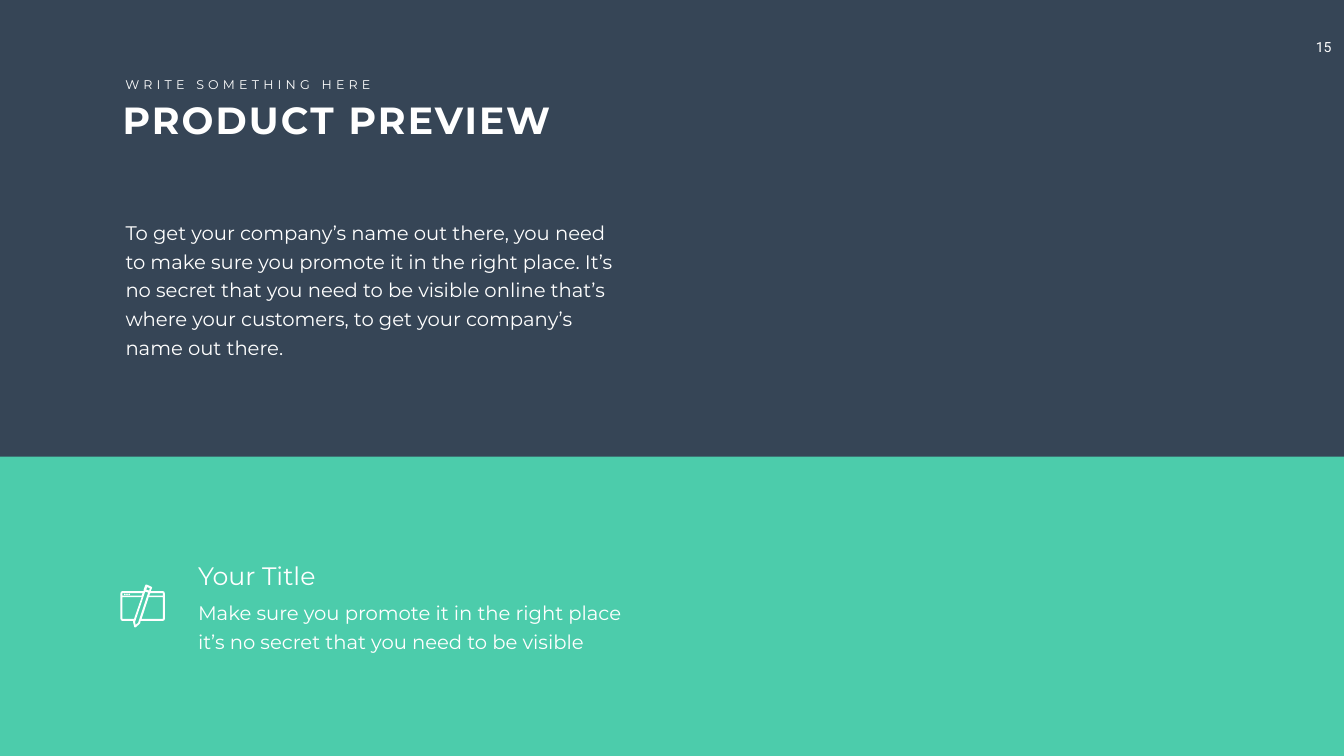
"""Build the product preview slide."""
from dataclasses import dataclass

from lxml import etree
from pptx import Presentation
from pptx.dml.color import RGBColor
from pptx.enum.shapes import MSO_SHAPE
from pptx.enum.text import MSO_ANCHOR, MSO_AUTO_SIZE, PP_ALIGN
from pptx.oxml.ns import qn
from pptx.util import Cm, Pt

RECT, OVAL = MSO_SHAPE.RECTANGLE, MSO_SHAPE.OVAL
TOP, NO_FIT = MSO_ANCHOR.TOP, MSO_AUTO_SIZE.NONE
LEFT, CENTER = PP_ALIGN.LEFT, PP_ALIGN.CENTER
NAVY, GREEN, WHITE = "364556", "4CCCAB", "FFFFFF"
LEADING = 40.8
WIDTH, HEIGHT = 67.72, 38.1
ICON_X, ICON_Y, ICON_UNIT = 6.07, 29.46, 0.0254

ICON_CONTOURS = [
    [(84, 68), (42, 68), (56, 25), (84, 25)],
    [(30, 80), (29, 74), (49, 14), (55, 16), (35, 76)],
    [(4, 68), (4, 25), (42, 25), (27, 68)],
    [(4, 17), (44, 17), (42, 22), (4, 22)],
    [(53, 5), (58, 7), (57, 12), (51, 10)],
    [(84, 22), (57, 22), (59, 17), (84, 17)],
    [(84, 13), (60, 13), (63, 6), (61, 4), (52, 0), (50, 0), (49, 2),
     (46, 10), (46, 13), (4, 13), (1, 14), (0, 18), (0, 68), (1, 71),
     (4, 72), (25, 72), (25, 74), (27, 83), (28, 85), (30, 85), (38, 78),
     (39, 77), (40, 72), (84, 72), (87, 71), (88, 68), (88, 18), (87, 14)],
]


@dataclass
class Box:
    """Place of an object in centimetres."""
    x: float
    y: float
    w: float
    h: float


def rgb(value: str) -> RGBColor:
    """Turn a hex string into a colour."""
    return RGBColor.from_string(value)


def paint(sp, color: str) -> None:
    """Give a shape a flat fill without line or shadow."""
    sp.fill.solid()
    sp.fill.fore_color.rgb = rgb(color)
    sp.line.fill.background()
    sp.shadow.inherit = False


def add_preset(slide, kind, box: Box, color: str) -> None:
    """Draw a flat preset shape."""
    sp = slide.shapes.add_shape(kind, Cm(box.x), Cm(box.y), Cm(box.w), Cm(box.h))
    paint(sp, color)


def write(sp, text: str, *, size: float, font: str = "Montserrat",
          bold: bool = False, spacing: int = 0, leading: float = 0,
          align=LEFT, wrap: bool = True) -> None:
    """Fill a text shape with one formatted paragraph."""
    tf = sp.text_frame
    tf.word_wrap, tf.auto_size, tf.vertical_anchor = wrap, NO_FIT, TOP
    p = tf.paragraphs[0]
    if sp.is_placeholder:
        pPr = p._p.get_or_add_pPr()
        pPr.set("marL", "0")
        pPr.set("indent", "0")
        etree.SubElement(pPr, qn("a:buNone"))
        p.space_before = Pt(0)
    p.alignment = align
    if leading:
        p.line_spacing = Pt(leading)
    r = p.add_run()
    r.text = text
    r.font.name, r.font.size, r.font.bold = font, Pt(size), bold
    r.font.color.rgb = rgb(WHITE)
    if spacing:
        r._r.get_or_add_rPr().set("spc", str(spacing * 100))


def add_text(slide, box: Box, text: str, **fmt) -> None:
    """Add a text box."""
    sp = slide.shapes.add_textbox(Cm(box.x), Cm(box.y), Cm(box.w), Cm(box.h))
    write(sp, text, **fmt)


def fill_placeholder(sp, box: Box, text: str, **fmt) -> None:
    """Move a placeholder and write into it."""
    sp.left, sp.top, sp.width, sp.height = Cm(box.x), Cm(box.y), Cm(box.w), Cm(box.h)
    write(sp, text, **fmt)


def add_icon(slide) -> None:
    """Draw the window and pencil icon."""
    first, *others = ICON_CONTOURS
    fb = slide.shapes.build_freeform(*first[0], scale=Cm(ICON_UNIT))
    fb.add_line_segments(first[1:], close=True)
    for contour in others:
        fb.move_to(*contour[0])
        fb.add_line_segments(contour[1:], close=True)
    paint(fb.convert_to_shape(Cm(ICON_X), Cm(ICON_Y)), WHITE)
    for i in range(3):
        add_preset(slide, OVAL, Box(ICON_X + 0.18 + i * 0.11, ICON_Y + 0.46, 0.08, 0.08), WHITE)


def main() -> None:
    """Build and save the slide."""
    prs = Presentation()
    prs.slide_width, prs.slide_height = Cm(WIDTH), Cm(HEIGHT)
    slide = prs.slides.add_slide(prs.slide_layouts[1])
    slide.background.fill.solid()
    slide.background.fill.fore_color.rgb = rgb(NAVY)
    title, body = slide.placeholders

    add_preset(slide, RECT, Box(0, 23.01, WIDTH, 15.09), GREEN)
    add_text(slide, Box(65.55, 1.83, 2.3, 1.37), "15", size=20, font="Roboto",
             align=CENTER, wrap=False)
    add_text(slide, Box(6.07, 3.73, 13.16, 1.02), "WRITE SOMETHING HERE",
             size=18, spacing=6, wrap=False)
    fill_placeholder(title, Box(5.92, 4.75, 26.11, 2.57), "PRODUCT PREVIEW",
                     size=54, bold=True, spacing=3)
    fill_placeholder(body, Box(6.07, 10.77, 25.45, 7.44),
                     "To get your company’s name out there, you need to make sure you "
                     "promote it in the right place. It’s no secret that you need to be "
                     "visible online that’s where your customers, to get your company’s "
                     "name out there.", size=28, leading=LEADING)
    add_icon(slide)
    add_text(slide, Box(9.73, 28.12, 12.22, 1.8), "Your Title", size=36)
    add_text(slide, Box(9.73, 29.92, 22.28, 3.05),
             "Make sure you promote it in the right place it’s no secret that you "
             "need to be visible", size=28, leading=LEADING)
    prs.save("out.pptx")


if __name__ == "__main__":
    main()
